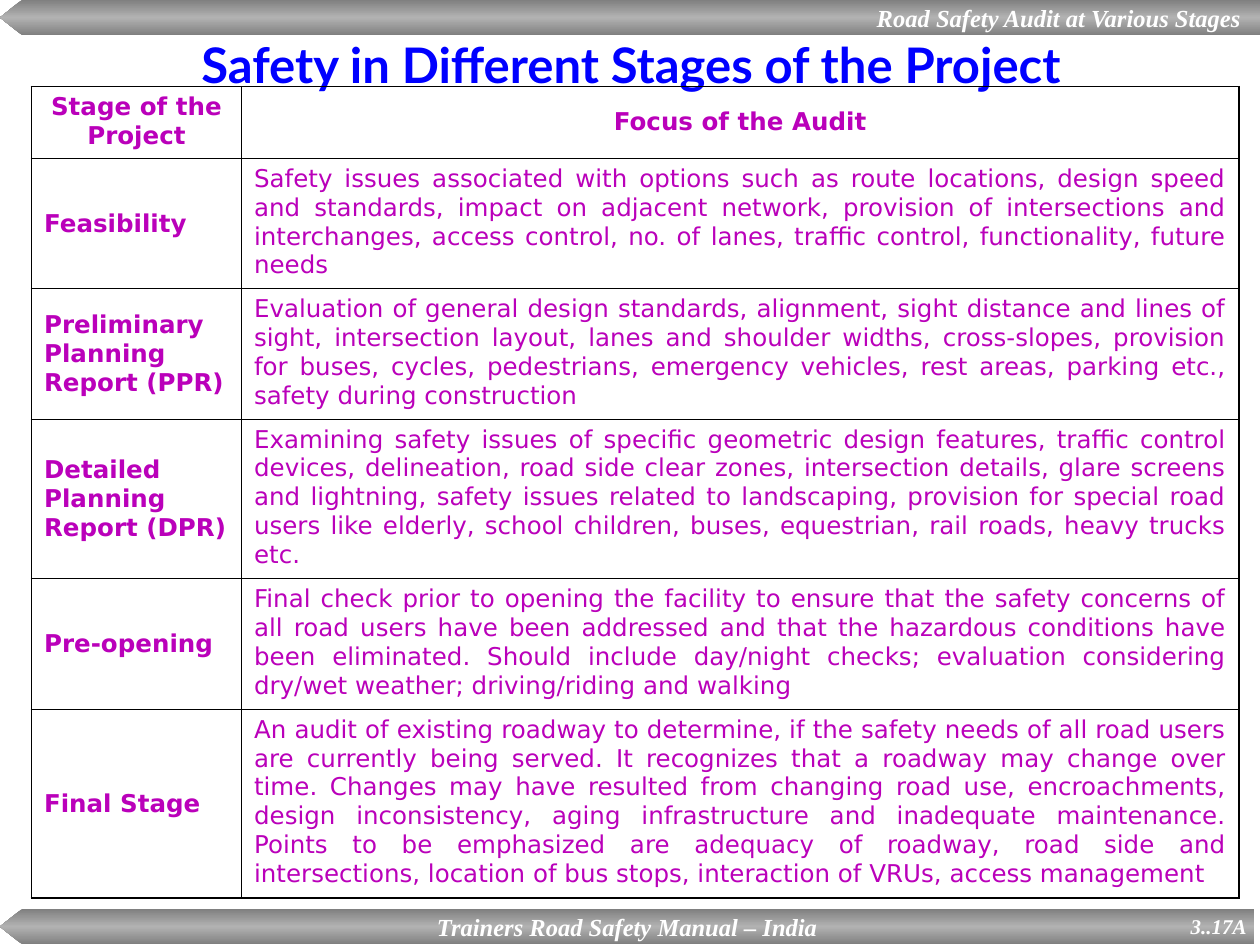
"""Build the slide on road safety audits at each stage of a project."""
from copy import deepcopy

from lxml import etree
from pptx import Presentation
from pptx.dml.color import RGBColor
from pptx.enum.text import MSO_ANCHOR, PP_ALIGN
from pptx.oxml.ns import qn
from pptx.util import Pt

LEFT, CENTER, RIGHT, JUSTIFY = PP_ALIGN.LEFT, PP_ALIGN.CENTER, PP_ALIGN.RIGHT, PP_ALIGN.JUSTIFY
TOP, MIDDLE = MSO_ANCHOR.TOP, MSO_ANCHOR.MIDDLE

BAR_FONT = {"name": "Times New Roman", "size": Pt(14), "bold": True, "italic": True}
PAGE_FONT = {**BAR_FONT, "size": Pt(12)}
TITLE_FONT = {"name": "Lato", "size": Pt(28), "bold": True}
BODY_FONT = {"name": "DejaVu Sans", "size": Pt(14), "bold": False}
HEAD_FONT = {**BODY_FONT, "bold": True}
WHITE, BLUE, PURPLE, BLACK = "FFFFFF", "0000FF", "BA00BA", "000000"
BAR_STOPS = [(0, "808080"), (0.5, "B2B2B2"), (1, "808080")]
THIN, THICK = 0.45, 1.08

COLUMN_WIDTHS = [120, 570]
ROW_HEIGHTS = [41, 73.5, 74.5, 90, 74.5, 108]
STAGES = [
    ("Stage of the Project", "Focus of the Audit"),
    ("Feasibility",
     "Safety issues associated with options such as route locations, design speed and standards, "
     "impact on adjacent network, provision of intersections and interchanges, access control, "
     "no. of lanes, traffic control, functionality, future needs"),
    ("Preliminary Planning Report (PPR)",
     "Evaluation of general design standards, alignment, sight distance and lines of sight, "
     "intersection layout, lanes and shoulder widths, cross-slopes, provision for buses, cycles, "
     "pedestrians, emergency vehicles, rest areas, parking etc., safety during construction"),
    ("Detailed Planning Report (DPR)",
     "Examining safety issues of specific geometric design features, traffic control devices, "
     "delineation, road side clear zones, intersection details, glare screens and lightning, "
     "safety issues related to landscaping, provision for special road users like elderly, "
     "school children, buses, equestrian, rail roads, heavy trucks etc."),
    ("Pre-opening",
     "Final check prior to opening the facility to ensure that the safety concerns of all road "
     "users have been addressed and that the hazardous conditions have been eliminated. Should "
     "include day/night checks; evaluation considering dry/wet weather; driving/riding and walking"),
    ("Final Stage",
     "An audit of existing roadway to determine, if the safety needs of all road users are "
     "currently being served. It recognizes that a roadway may change over time. Changes may have "
     "resulted from changing road use, encroachments, design inconsistency, aging infrastructure "
     "and inadequate maintenance. Points to be emphasized are adequacy of roadway, road side and "
     "intersections, location of bus stops, interaction of VRUs, access management"),
]


def color(value):
    """Turn a hex string into a colour."""
    return RGBColor.from_string(value)


class SlideBuilder:
    """Hold the current slide and draw each kind of element on it."""

    def __init__(self, page):
        """Keep the slide to draw on."""
        self.page = page

    def paragraph(self, frame, text, font, ink, align):
        """Put one formatted paragraph into a text frame."""
        para = frame.paragraphs[0]
        para.alignment = align
        span = para.add_run()
        span.text = text
        for name, value in font.items():
            setattr(span.font, name, value)
        span.font.color.rgb = color(ink)

    def frame(self, frame, anchor, right=7.2):
        """Set the wrapping, anchor and insets of a text frame."""
        settings = {"word_wrap": True, "vertical_anchor": anchor,
                    "margin_left": Pt(7.2), "margin_right": Pt(right),
                    "margin_top": Pt(3.6), "margin_bottom": Pt(3.6)}
        for name, value in settings.items():
            setattr(frame, name, value)

    def text(self, left, top, width, height, text, font, ink, align, anchor):
        """Add a text box."""
        box = self.page.shapes.add_textbox(Pt(left), Pt(top), Pt(width), Pt(height))
        self.frame(box.text_frame, anchor)
        self.paragraph(box.text_frame, text, font, ink, align)

    def bar(self, top, width, text, align, right=7.2):
        """Add a gradient bar with a pointed left end."""
        height, tip = 20, 12.5
        outline = [(tip, top), (0, top + height / 2), (tip, top + height), (width, top + height)]
        builder = self.page.shapes.build_freeform(Pt(width), Pt(top))
        builder.add_line_segments([(Pt(x), Pt(y)) for x, y in outline], close=True)
        shape = builder.convert_to_shape()
        shape.shadow.inherit = False
        shape.line.fill.background()
        shape.fill.gradient()
        shape.fill.gradient_angle = 90
        stops = shape._element.spPr.find(qn("a:gradFill")).find(qn("a:gsLst"))
        stops.insert(1, deepcopy(stops[0]))
        for stop, (position, shade) in zip(shape.fill.gradient_stops, BAR_STOPS):
            stop.position = position
            stop.color.rgb = color(shade)
        self.frame(shape.text_frame, MIDDLE, right)
        self.paragraph(shape.text_frame, text, BAR_FONT, WHITE, align)

    def border(self, cell, sides):
        """Draw the borders of a cell from a dict of side and width."""
        properties = cell._tc.get_or_add_tcPr()
        for index, (side, width) in enumerate(sides.items()):
            line = etree.Element(qn(f"a:ln{side}"), w=str(int(Pt(width))))
            fill = etree.SubElement(line, qn("a:solidFill"))
            etree.SubElement(fill, qn("a:srgbClr"), val=BLACK)
            properties.insert(index, line)

    def table(self, left, top, rows, widths, heights):
        """Add a table with a header row and bold first column."""
        table = self.page.shapes.add_table(
            len(rows), len(widths), Pt(left), Pt(top), Pt(sum(widths)), Pt(sum(heights))).table
        table.first_row = table.horz_banding = False
        for column, width in zip(table.columns, widths):
            column.width = Pt(width)
        for row, height in zip(table.rows, heights):
            row.height = Pt(height)
        last_row, last_column = len(rows) - 1, len(widths) - 1
        for r, row in enumerate(rows):
            for c, text in enumerate(row):
                cell = table.cell(r, c)
                heading = r == 0 or c == 0
                align = CENTER if r == 0 else LEFT if c == 0 else JUSTIFY
                cell.fill.background()
                cell.vertical_anchor = MIDDLE if heading and (r, c) != (0, 0) else TOP
                self.paragraph(cell.text_frame, text, HEAD_FONT if heading else BODY_FONT,
                               PURPLE, align)
                self.border(cell, {"L": THICK if c == 0 else THIN,
                                   "R": THICK if c == last_column else THIN,
                                   "T": THICK if r == 0 else THIN,
                                   "B": THICK if r == last_row else THIN})


def main():
    """Build and save the deck."""
    deck = Presentation()
    deck.slide_width, deck.slide_height = Pt(720), Pt(540)
    builder = SlideBuilder(deck.slides.add_slide(deck.slide_layouts[6]))
    builder.bar(0, 720, "Road Safety Audit at Various Stages", RIGHT, right=10.8)
    builder.bar(519.5, 717, "Trainers Road Safety Manual – India", CENTER)
    builder.text(639.5, 518.5, 80, 36, "3..17A", PAGE_FONT, WHITE, RIGHT, TOP)
    builder.text(36.5, 18, 648, 37.5, "Safety in Different Stages of the Project",
                 TITLE_FONT, BLUE, CENTER, MIDDLE)
    builder.table(18, 49.5, STAGES, COLUMN_WIDTHS, ROW_HEIGHTS)
    deck.save("out.pptx")


if __name__ == "__main__":
    main()
